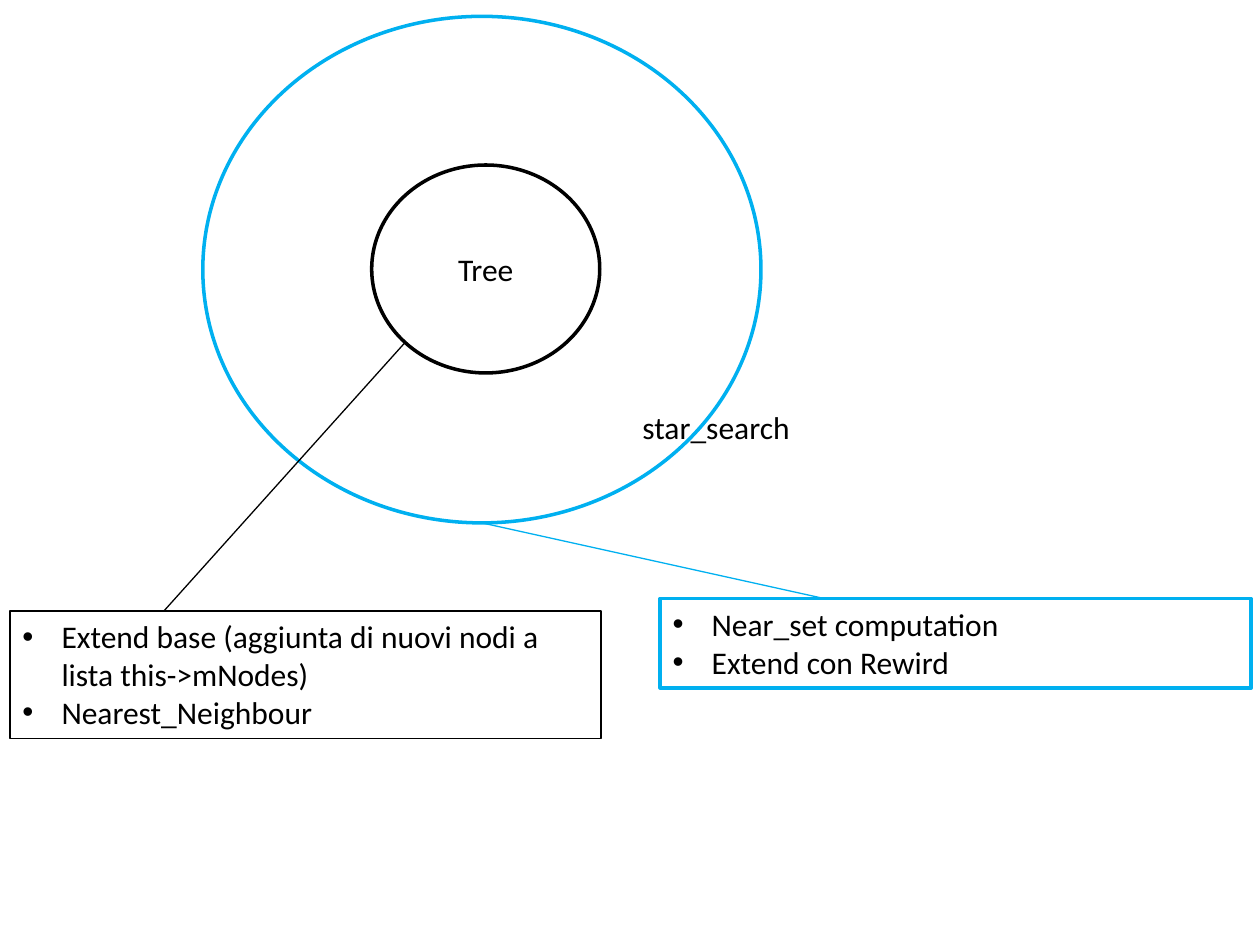
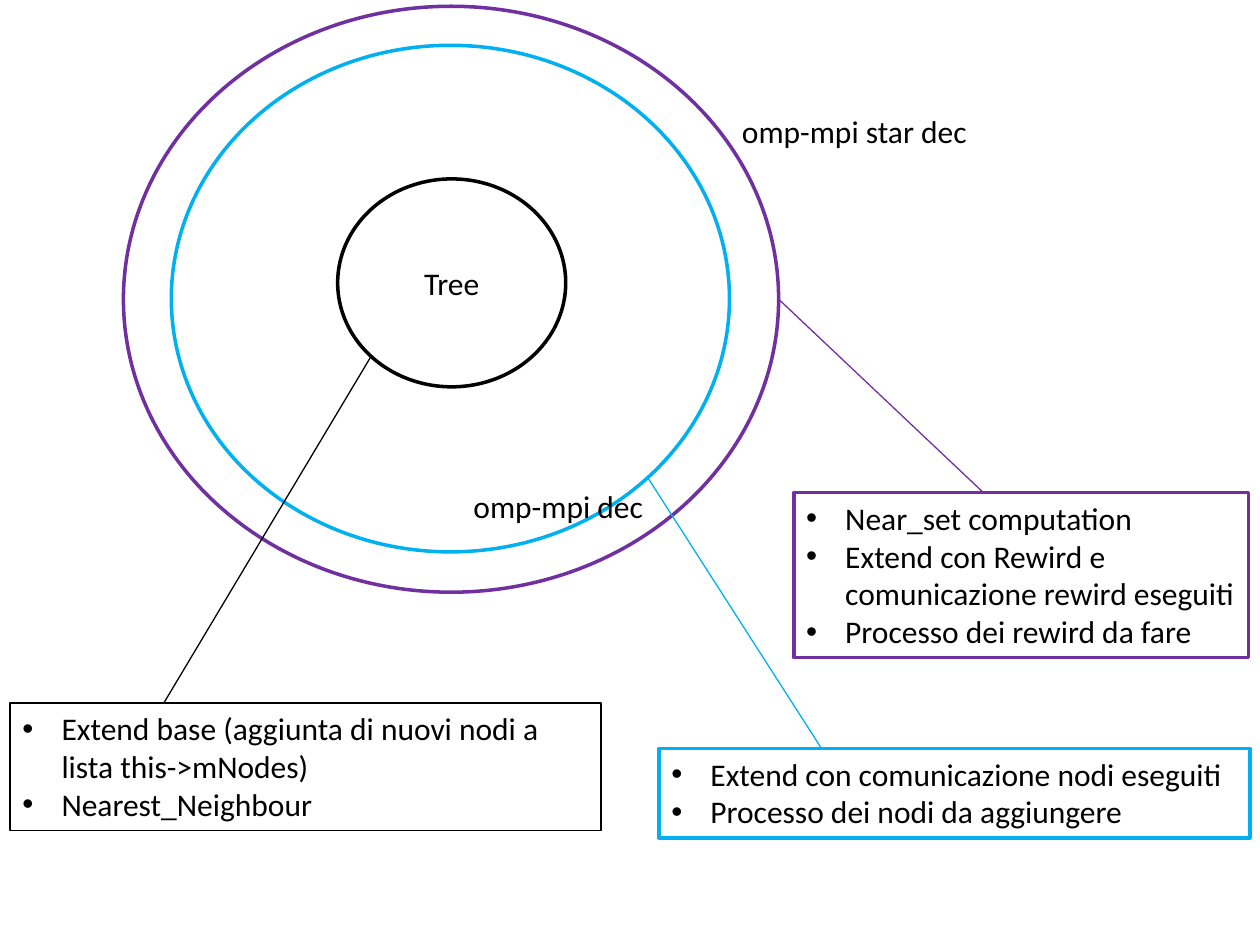
from dataclasses import dataclass
from math import cos, radians, sin
from typing import Optional

from lxml.etree import SubElement
from pptx import Presentation
from pptx.dml.color import RGBColor
from pptx.enum.shapes import MSO_CONNECTOR, MSO_SHAPE
from pptx.enum.text import MSO_ANCHOR, MSO_AUTO_SIZE, PP_ALIGN
from pptx.oxml.ns import qn
from pptx.util import Inches, Pt


@dataclass(frozen=True)
class Theme:
    ink: str = "000000"
    blue: str = "00B0F0"
    plum: str = "7030A0"
    paper: str = "FFFFFF"
    font: str = "Calibri"
    size: float = 18
    thin: float = 0.75
    thick: float = 2


@dataclass(frozen=True)
class Grid:
    wide: float = 10
    high: float = 7.5
    cols: int = 100
    rows: int = 75

    def col(self, count: float) -> int:
        return Inches(self.wide * count / self.cols)

    def row(self, count: float) -> int:
        return Inches(self.high * count / self.rows)

    def frame(self, box: "Box") -> tuple[int, int, int, int]:
        return (self.col(box.left), self.row(box.top),
                self.col(box.wide), self.row(box.high))


@dataclass(frozen=True)
class Box:
    left: float
    top: float
    wide: float
    high: float


@dataclass(frozen=True)
class Ring:
    box: Box
    tint: str
    fill: Optional[str] = None
    text: str = ""

    def point(self, angle: float) -> tuple[float, float]:
        turn = radians(angle)
        return (self.box.left + self.box.wide / 2 * (1 + cos(turn)),
                self.box.top + self.box.high / 2 * (1 + sin(turn)))


@dataclass(frozen=True)
class Note:
    box: Box
    tint: str
    lines: tuple[str, ...]
    ring: Ring
    angle: float
    tip: tuple[float, float]
    width: float = 2
    fill: Optional[str] = None


THEME = Theme()
GRID = Grid()
INDENT = Inches(0.31)


def paint(shape, tint: str, width: float, fill: Optional[str]) -> None:
    if fill:
        shape.fill.solid()
        shape.fill.fore_color.rgb = RGBColor.from_string(fill)
    else:
        shape.fill.background()
    shape.line.color.rgb = RGBColor.from_string(tint)
    shape.line.width = Pt(width)


def write(para, text: str) -> None:
    run = para.add_run()
    run.text = text
    run.font.name = THEME.font
    run.font.size = Pt(THEME.size)
    run.font.color.rgb = RGBColor.from_string(THEME.ink)


def dot(para) -> None:
    props = para._p.get_or_add_pPr()
    props.set("marL", str(INDENT))
    props.set("indent", str(-INDENT))
    SubElement(props, qn("a:buFont")).set("typeface", "Arial")
    SubElement(props, qn("a:buChar")).set("char", "•")


def text_box(shapes, box: Box, lines: tuple[str, ...], dots: bool = False):
    shape = shapes.add_textbox(*GRID.frame(box))
    frame = shape.text_frame
    frame.word_wrap = True
    frame.auto_size = MSO_AUTO_SIZE.SHAPE_TO_FIT_TEXT
    for index, line in enumerate(lines):
        para = frame.add_paragraph() if index else frame.paragraphs[0]
        if dots:
            dot(para)
        write(para, line)
    return shape


def draw_ring(slide, ring: Ring) -> None:
    shape = slide.shapes.add_shape(MSO_SHAPE.OVAL, *GRID.frame(ring.box))
    shape.shadow.inherit = False
    paint(shape, ring.tint, THEME.thick, ring.fill)
    if ring.text:
        frame = shape.text_frame
        frame.vertical_anchor = MSO_ANCHOR.MIDDLE
        frame.paragraphs[0].alignment = PP_ALIGN.CENTER
        write(frame.paragraphs[0], ring.text)


def draw_note(slide, note: Note) -> None:
    group = slide.shapes.add_group_shape()
    start = note.ring.point(note.angle)
    lead = group.shapes.add_connector(
        MSO_CONNECTOR.STRAIGHT, GRID.col(start[0]), GRID.row(start[1]),
        GRID.col(note.tip[0]), GRID.row(note.tip[1]))
    lead.line.color.rgb = RGBColor.from_string(note.tint)
    lead.line.width = Pt(THEME.thin)
    SubElement(lead._element.spPr, qn("a:effectLst"))
    shape = text_box(group.shapes, note.box, note.lines, dots=True)
    paint(shape, note.tint, note.width, note.fill)


def tree_ring(left: float, top: float) -> Ring:
    return Ring(Box(left, top, 18.1, 16.5), THEME.ink, THEME.paper, "Tree")


def blue_ring(left: float, top: float, fill: Optional[str] = None) -> Ring:
    return Ring(Box(left, top, 44.3, 40.2), THEME.blue, fill)


def base_note(tree: Ring, top: float) -> Note:
    lines = ("Extend base (aggiunta di nuovi nodi a lista this->mNodes)",
             "Nearest_Neighbour")
    return Note(Box(0.8, top, 46.9, 10.1), THEME.ink, lines, tree, 135,
                (13, top), THEME.thin)


def blue_note(ring: Ring, angle: float, left: float, top: float,
              tip: float, lines: tuple[str, ...]) -> Note:
    return Note(Box(left, top, 46.9, 7.1), THEME.blue, lines, ring, angle,
                (tip, top), THEME.thick, THEME.paper)


def build_star(slide) -> None:
    star = blue_ring(16.1, 1.3, THEME.paper)
    tree = tree_ring(29.5, 13.1)
    for ring in (star, tree):
        draw_ring(slide, ring)
    text_box(slide.shapes, Box(50, 31.9, 15, 4), ("star_search",))
    draw_note(slide, base_note(tree, 48.5))
    draw_note(slide, blue_note(star, 90, 52.4, 47.5, 65.4, (
        "Near_set computation", "Extend con Rewird")))


def build_dec(slide) -> None:
    outer = Ring(Box(9.8, 0.5, 52, 46.5), THEME.plum)
    inner = blue_ring(13.6, 3.6)
    tree = tree_ring(26.8, 14.2)
    for ring in (outer, inner, tree):
        draw_ring(slide, ring)
    text_box(slide.shapes, Box(36.6, 38.2, 22, 4), ("omp-mpi dec",))
    draw_note(slide, base_note(tree, 55.8))
    draw_note(slide, blue_note(inner, 45, 52.3, 59.4, 65.2, (
        "Extend con comunicazione nodi eseguiti",
        "Processo dei nodi da aggiungere")))
    text_box(slide.shapes, Box(57.9, 8.4, 22.8, 4), ("omp-mpi star dec",))
    draw_note(slide, Note(Box(63, 39.1, 36.1, 13.1), THEME.plum, (
        "Near_set computation",
        "Extend con Rewird e comunicazione rewird eseguiti",
        "Processo dei rewird da fare"),
        outer, 0, (80.7, 41.6), THEME.thick, THEME.paper))


def main() -> None:
    deck = Presentation()
    deck.slide_width = Inches(GRID.wide)
    deck.slide_height = Inches(GRID.high)
    blank = deck.slide_layouts.get_by_name("Blank")
    for build in (build_star, build_dec):
        build(deck.slides.add_slide(blank))
    deck.save("out.pptx")


main()
